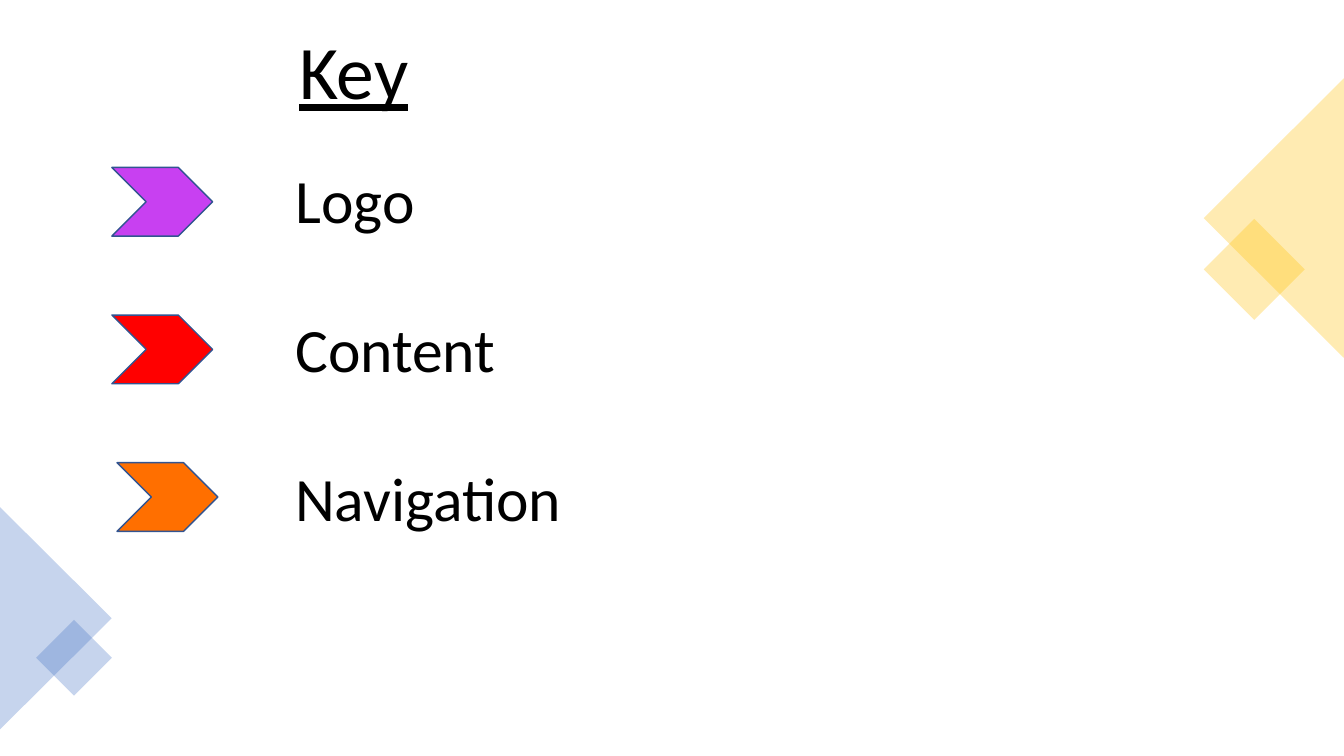
"""Build a colour key slide with three chevrons and corner diamonds."""
from dataclasses import dataclass

from lxml.etree import SubElement
from pptx import Presentation
from pptx.dml.color import RGBColor as Rgb
from pptx.enum.shapes import MSO_SHAPE as Kind
from pptx.enum.text import MSO_AUTO_SIZE as Fit, PP_ALIGN as Align
from pptx.oxml.ns import qn
from pptx.util import Cm, Pt


@dataclass(frozen=True)
class Theme:
    font: str = "Calibri"
    ink: str = "000000"
    gold: str = "FFC000"
    blue: str = "4472C4"
    edge: str = "325491"
    purple: str = "C840F1"
    red: str = "FF0000"
    orange: str = "FF6F00"
    head: int = 54
    body: int = 44
    alpha: int = 30


theme = Theme()
deck = Presentation()
deck.slide_width, deck.slide_height = Cm(33.87), Cm(19.05)
slide = deck.slides.add_slide(deck.slide_layouts[6])


def add_form(kind, box, color):
    form = slide.shapes.add_shape(kind, *map(Cm, box))
    form.shadow.inherit = False
    form.fill.solid()
    form.fill.fore_color.rgb = Rgb.from_string(color)
    return form


def add_text(box, lines, size, align, gap=0, under=None):
    frame = slide.shapes.add_textbox(*map(Cm, box)).text_frame
    frame.word_wrap = True
    frame.auto_size = Fit.SHAPE_TO_FIT_TEXT
    for i, line in enumerate(lines):
        para = frame.add_paragraph() if i else frame.paragraphs[0]
        para.alignment = align
        para.space_before = Cm(gap if i else 0)
        run = para.add_run()
        run.text = line
        run.font.name = theme.font
        run.font.size = Pt(size)
        run.font.underline = under
        run.font.color.rgb = Rgb.from_string(theme.ink)


corners = [
    (Kind.RECTANGLE, (30.71, 5.89, 1.8, 1.8), 45, theme.gold),
    (Kind.ISOSCELES_TRIANGLE, (28.58, 3.73, 7.04, 3.53), 270, theme.gold),
    (Kind.ISOSCELES_TRIANGLE, (-1.4, 14.17, 5.61, 2.82), 90, theme.blue),
    (Kind.RECTANGLE, (1.19, 15.9, 1.35, 1.35), 45, theme.blue),
]
for kind, box, turn, color in corners:
    form = add_form(kind, box, color)
    form.rotation = turn
    form.line.fill.background()
    for tint in form.fill._xPr.iterfind(f"{qn('a:solidFill')}/{qn('a:srgbClr')}"):
        SubElement(tint, qn("a:alpha"), val=str(theme.alpha * 1000))

keys = [
    ("Logo", 2.82, theme.purple),
    ("Content", 2.82, theme.red),
    ("Navigation", 2.95, theme.orange),
]
names = [name for name, left, color in keys]
add_text((7.19, 3.96, 17.78, 10.52), names, theme.body, Align.LEFT, gap=1.89)

for row, (name, left, color) in enumerate(keys):
    mark = add_form(Kind.CHEVRON, (left, 4.22 + 3.72 * row, 2.54, 1.73), color)
    mark.line.color.rgb = Rgb.from_string(theme.edge)
    mark.line.width = Pt(1)

add_text((5.36, 0.48, 7.11, 2.57), ["Key"], theme.head, Align.CENTER, under=True)

deck.save("out.pptx")
